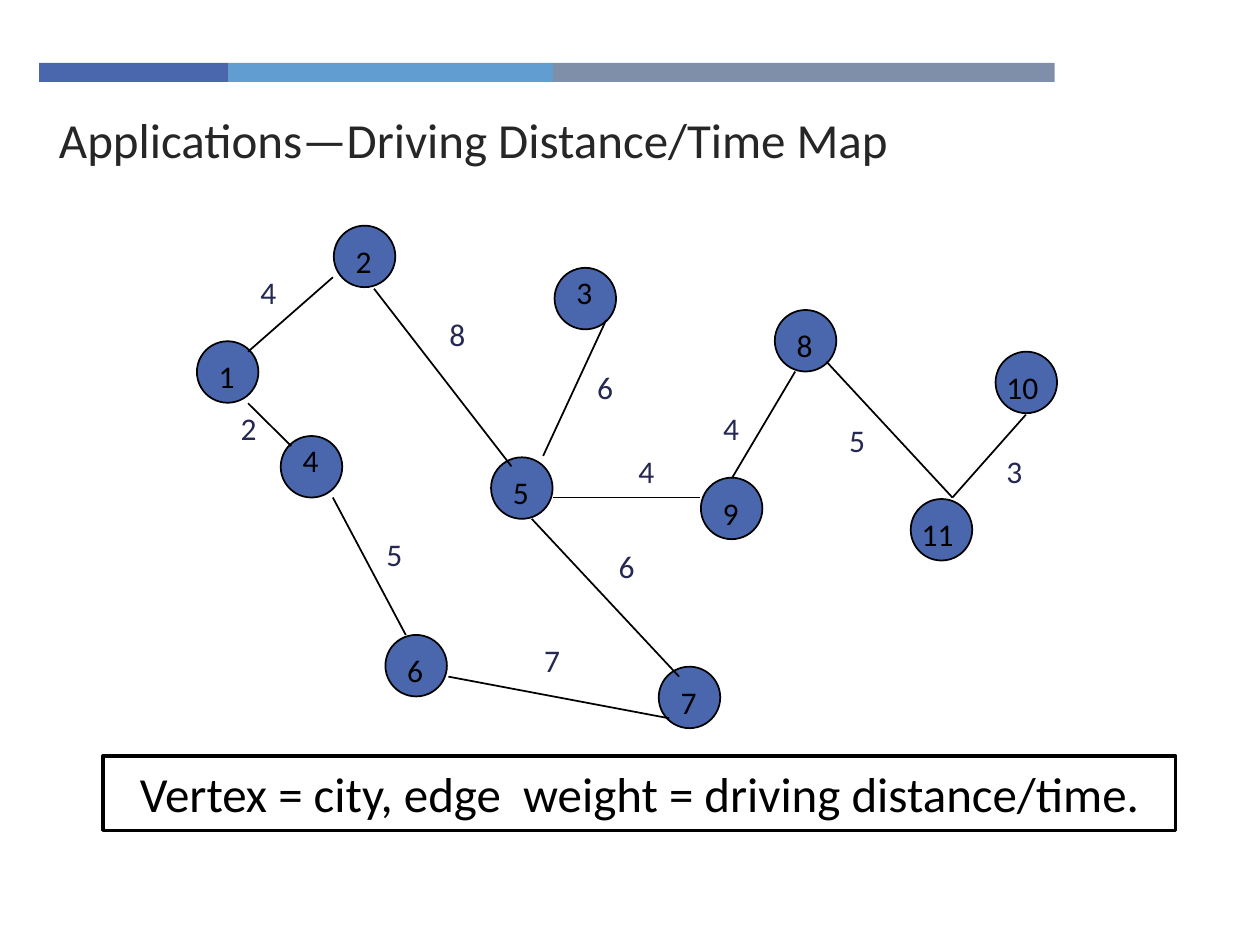
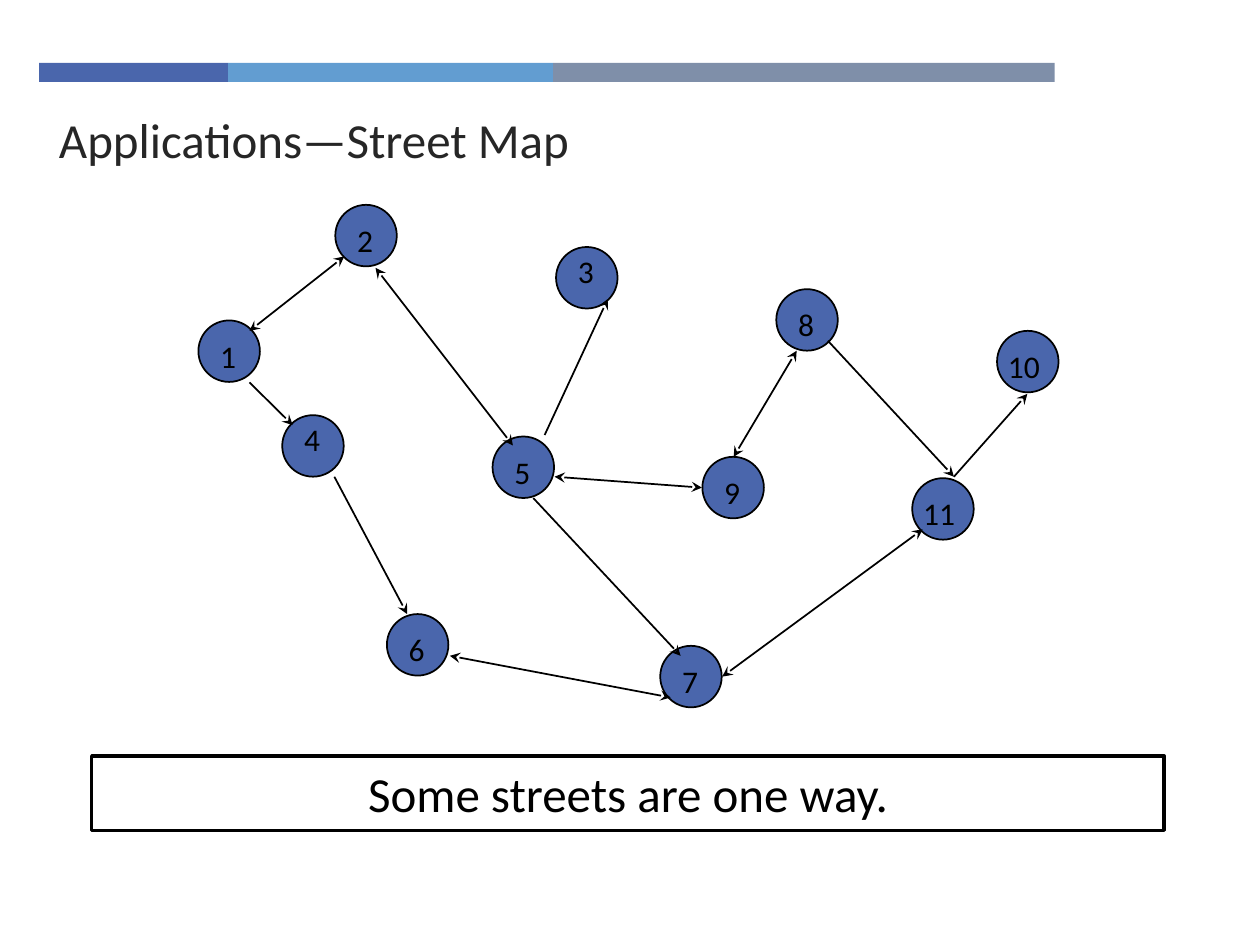
"""Build two slides that show graph applications: a driving map and a street map."""
from lxml.etree import SubElement
from pptx import Presentation
from pptx.dml.color import RGBColor
from pptx.enum.shapes import MSO_CONNECTOR, MSO_SHAPE
from pptx.enum.text import MSO_ANCHOR, PP_ALIGN
from pptx.oxml.ns import qn
from pptx.util import Cm, Pt

INDIGO = RGBColor(0x4A, 0x66, 0xAC)
SKY = RGBColor(0x62, 0x9D, 0xD1)
SLATE = RGBColor(0x7F, 0x8F, 0xA9)
NAVY = RGBColor(0x24, 0x28, 0x52)
CHARCOAL = RGBColor(0x26, 0x26, 0x26)
BLACK = RGBColor(0, 0, 0)
WHITE = RGBColor(255, 255, 255)

FONT = "Calibri"
NODE_SIZE = 1.24
LABEL_HEIGHT = 1.09
BAND_PARTS = [(3.81, INDIGO), (6.55, SKY), (10.11, SLATE)]

cities = {
    1: (3.97, 6.88), 2: (6.73, 4.55), 3: (11.18, 5.4), 8: (15.62, 6.25),
    10: (20.07, 7.09), 4: (5.66, 8.79), 5: (9.9, 9.22), 9: (14.13, 9.63),
    11: (18.36, 10.06), 6: (7.77, 12.8), 7: (13.28, 13.44),
}
label_offsets = {3: (0.19, -0.03), 4: (0.19, -0.03), 10: (-0.03, 0.2), 11: (-0.03, 0.2)}
label_widths = {10: 1.27, 11: 2.11}

roads = {
    (2, 1): (6.71, 5.59, 5, 7.09),
    (2, 5): (7.54, 5.82, 10.31, 9.4),
    (1, 4): (5, 8.13, 5.87, 8.99),
    (4, 6): (6.71, 10.03, 8.18, 12.8),
    (6, 7): (9.04, 13.64, 13.49, 14.48),
    (5, 3): (10.95, 9.19, 12.22, 6.45),
    (5, 7): (10.72, 10.46, 13.69, 13.64),
    (8, 9): (16.03, 7.49, 14.76, 9.63),
    (8, 11): (16.66, 7.29, 19.2, 10.03),
    (11, 10): (19.2, 10.03, 20.68, 8.36),
    (5, 9): (11.15, 10.03, 14.12, 10.03),
}
streets = {
    **roads,
    (2, 1): (6.91, 5.59, 5, 7.09),
    (5, 9): (11.15, 10.03, 14.12, 10.25),
    (7, 11): (14.53, 14.06, 18.57, 11.09),
}
one_way = {(1, 4), (4, 6), (5, 3), (5, 7), (8, 11), (11, 10)}
weights = [
    (4, 5, 5.38), (8, 8.81, 6.22), (6, 11.79, 7.29), (6, 12.22, 10.9),
    (7, 10.72, 12.8), (5, 7.54, 10.67), (2, 4.6, 8.13), (4, 12.62, 8.99),
    (4, 14.33, 8.13), (5, 16.87, 8.36), (3, 20.04, 8.99),
]

maps = [
    ("Applications\u2014Driving Distance/Time Map",
     "Vertex = city, edge  weight = driving distance/time.",
     2.08, (0, 0), roads, weights, False),
    ("Applications\u2014Street Map", "Some streets are one way.",
     1.85, (0.03, -0.42), streets, [], True),
]


def write(shape, text, size, color):
    frame = shape.text_frame
    frame.word_wrap = True
    frame.text = text
    font = frame.paragraphs[0].runs[0].font
    font.name, font.size, font.color.rgb = FONT, Pt(size), color
    return frame


def draw(slide, kind, left, top, width, height, fill, line_width=0):
    shape = slide.shapes.add_shape(kind, Cm(left), Cm(top), Cm(width), Cm(height))
    shape.shadow.inherit = False
    shape.fill.solid()
    shape.fill.fore_color.rgb = fill
    if line_width:
        shape.line.color.rgb = BLACK
        shape.line.width = Pt(line_width)
    else:
        shape.line.fill.background()
    return shape


deck = Presentation()
deck.slide_width, deck.slide_height = Cm(25.4), Cm(19.05)

for title, caption, caption_left, (dx, dy), edges, edge_weights, directed in maps:
    slide = deck.slides.add_slide(deck.slide_layouts[6])

    band_left = 0.79
    for band_width, band_color in BAND_PARTS:
        draw(slide, MSO_SHAPE.RECTANGLE, band_left, 1.27, band_width, 0.38, band_color)
        band_left += band_width

    heading = slide.shapes.add_textbox(Cm(0.94), Cm(2.03), Cm(18.19), Cm(1.37))
    write(heading, title, 28, CHARCOAL).margin_top = Cm(0.18)

    caption_box = draw(slide, MSO_SHAPE.RECTANGLE, caption_left, 15.24, 21.62, 1.5, WHITE, 2)
    caption_frame = write(caption_box, caption, 28, BLACK)
    caption_frame.vertical_anchor = MSO_ANCHOR.MIDDLE
    caption_frame.paragraphs[0].alignment = PP_ALIGN.CENTER

    for left, top in cities.values():
        draw(slide, MSO_SHAPE.OVAL, left + dx, top + dy, NODE_SIZE, NODE_SIZE, INDIGO, 1)

    for ends, (x1, y1, x2, y2) in edges.items():
        edge = slide.shapes.add_connector(
            MSO_CONNECTOR.STRAIGHT, Cm(x1 + dx), Cm(y1 + dy), Cm(x2 + dx), Cm(y2 + dy))
        edge.line.color.rgb = BLACK
        edge.line.width = Pt(1)
        if directed:
            outline = edge.line._get_or_add_ln()
            if ends not in one_way:
                SubElement(outline, qn("a:headEnd"), type="stealth")
            SubElement(outline, qn("a:tailEnd"), type="stealth")
        SubElement(edge._element.spPr, qn("a:effectLst"))

    for city, (left, top) in cities.items():
        shift_x, shift_y = label_offsets.get(city, (0.19, 0.2))
        city_label = slide.shapes.add_textbox(
            Cm(left + shift_x + dx), Cm(top + shift_y + dy),
            Cm(label_widths.get(city, 0.64)), Cm(LABEL_HEIGHT))
        write(city_label, str(city), 18, BLACK)

    for weight, left, top in edge_weights:
        weight_label = slide.shapes.add_textbox(
            Cm(left + dx), Cm(top + dy), Cm(0.84), Cm(LABEL_HEIGHT))
        write(weight_label, str(weight), 18, NAVY)

deck.save("out.pptx")
